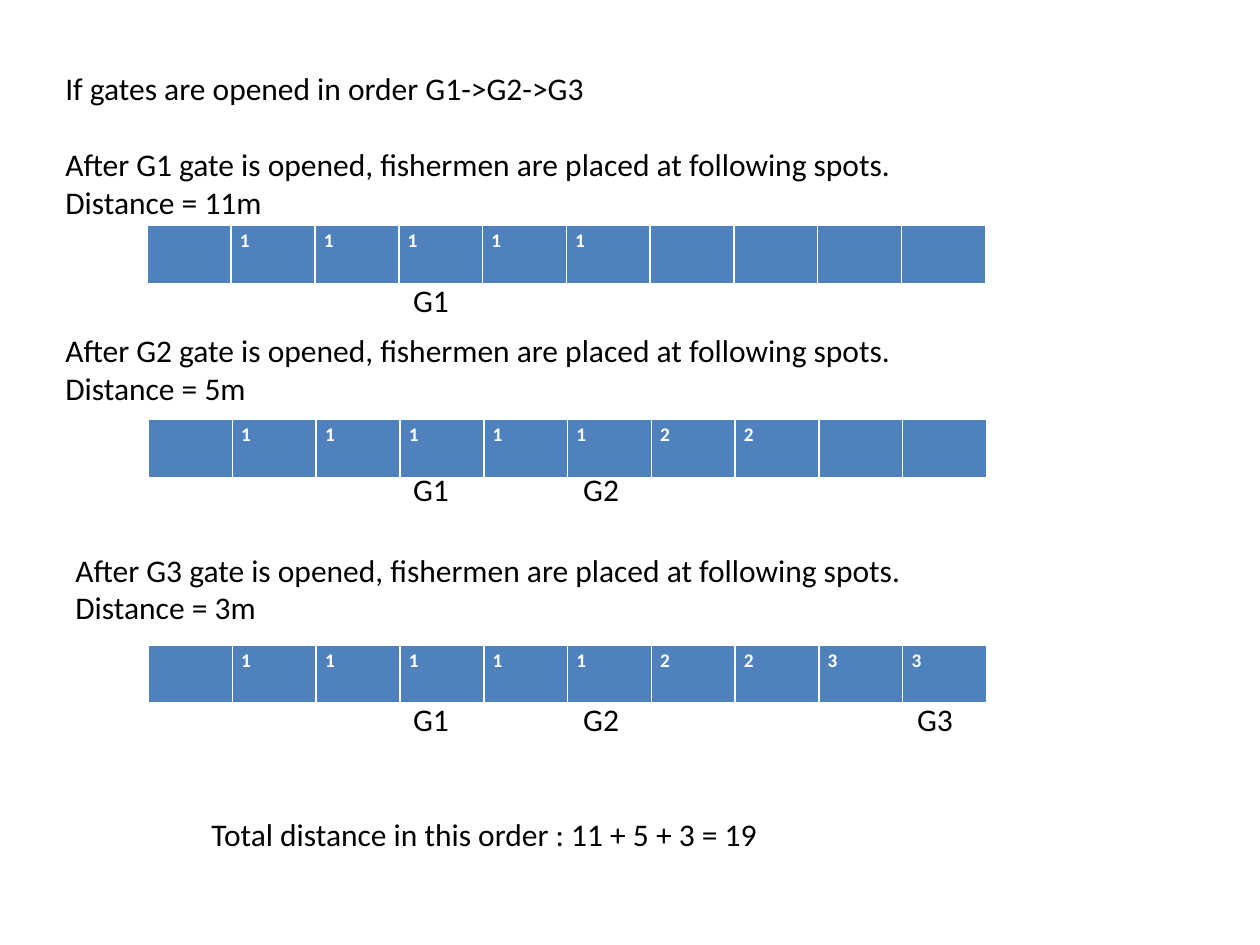
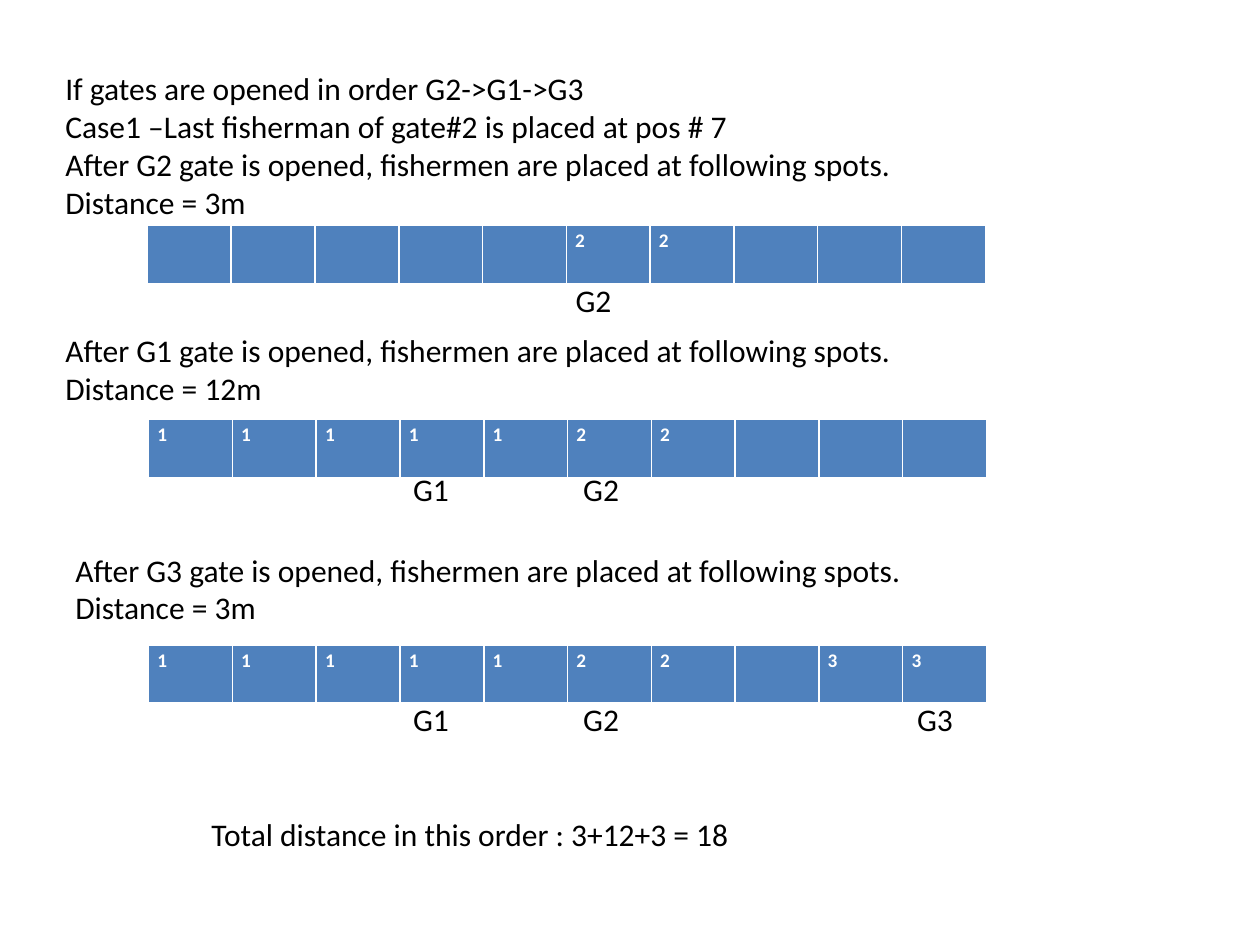
from dataclasses import dataclass

from lxml import etree
from pptx import Presentation
from pptx.dml.color import RGBColor
from pptx.enum import text
from pptx.oxml import ns
from pptx.util import Inches, Pt


@dataclass
class Theme:
    font: str = "Calibri"
    body: int = 18
    spot: int = 11
    ink: RGBColor = RGBColor(0x00, 0x00, 0x00)
    cell: RGBColor = RGBColor(0x4F, 0x81, 0xBD)
    light: RGBColor = RGBColor(0xFF, 0xFF, 0xFF)


THEME = Theme()

# Content: each step is gate, distance, spots ("." is empty) and gate marks,
# a mark being a name and its tab position under the spots
G1, G2, G3 = ("G1", 1.51), ("G2", 2.86), ("G3", 5.51)
SLIDES = [
    {
        "intro": ["If gates are opened in order G1->G2->G3"],
        "steps": [
            ("G1", 11, ".11111....", [G1]),
            ("G2", 5, ".1111122..", [G1, G2]),
            ("G3", 3, ".111112233", [G1, G2, G3]),
        ],
        "total": "11 + 5 + 3 = 19",
    },
    {
        "intro": ["If gates are opened in order G2->G1->G3",
                  "Case1 –Last fisherman of gate#2 is placed at pos # 7"],
        "steps": [
            ("G2", 3, ".....22...", [("G2", 2.8)]),
            ("G1", 12, "1111122...", [G1, G2]),
            ("G3", 3, "1111122.33", [G1, G2, G3]),
        ],
        "total": "3+12+3 = 18",
    },
]

# Layout: left, top, width, height of each step's text, spots and marks
STEP_BOXES = [
    ((0.42, 0.5, 8.58, 1.62), (1.17, 1.79, 6.65, 0.46), (1.67, 2.18, 5.92, 0.4)),
    ((0.42, 2.58, 7.25, 1.01), (1.18, 3.33, 6.65, 0.46), (1.67, 3.68, 5.92, 0.4)),
    ((0.5, 4.32, 7.25, 1.01), (1.18, 5.12, 6.65, 0.46), (1.67, 5.51, 6.08, 0.4)),
]
TOTAL_BOX = (1.58, 6.42, 6.25, 0.4)
INTRO_LINES = 2
LINE_PITCH = 22  # points taken by one line of body text


def style(p, size, color, bold=False):
    for r in p.runs:
        r.font.name, r.font.size, r.font.bold = THEME.font, Pt(size), bold
        r.font.color.rgb = color


def add_text(slide, box, lines):
    sp = slide.shapes.add_textbox(*map(Inches, box))
    tf = sp.text_frame
    tf.word_wrap = True
    tf.auto_size = text.MSO_AUTO_SIZE.SHAPE_TO_FIT_TEXT
    tf.text = "\n".join(lines)
    for p in tf.paragraphs:
        style(p, THEME.body, THEME.ink)
    return tf


def add_marks(slide, box, marks):
    """Write the gate names, each at its own tab stop."""
    tf = add_text(slide, box, ["".join("\t" + name for name, _ in marks)])
    tabs = etree.SubElement(tf.paragraphs[0]._p.get_or_add_pPr(), ns.qn("a:tabLst"))
    for _, x in marks:
        etree.SubElement(tabs, ns.qn("a:tab"), pos=str(Inches(x)), algn="l")


def add_spots(slide, box, spots):
    """Draw the row of fishing spots; white borders come from the table style."""
    table = slide.shapes.add_table(1, len(spots), *map(Inches, box)).table
    for column in table.columns:
        column.width = Inches(box[2] / len(spots))
    for cell, spot in zip(table.rows[0].cells, spots):
        cell.fill.solid()
        cell.fill.fore_color.rgb = THEME.cell
        cell.margin_left = cell.margin_right = Inches(0.07)
        cell.margin_top = cell.margin_bottom = 0
        if spot != ".":
            p = cell.text_frame.paragraphs[0]
            p.text = spot
            p.line_spacing = 1.15
            style(p, THEME.spot, THEME.light, bold=True)


prs = Presentation()
prs.slide_width, prs.slide_height = Inches(10), Inches(7.5)
blank = prs.slide_layouts[6]

for content in SLIDES:
    slide = prs.slides.add_slide(blank)

    # Steps, the first one headed by the opening order
    for i, (step, boxes) in enumerate(zip(content["steps"], STEP_BOXES)):
        gate, distance, spots, marks = step
        text_box, spots_box, marks_box = boxes
        intro = content["intro"] if i == 0 else []
        tf = add_text(slide, text_box, intro + [
            f"After {gate} gate is opened, fishermen are placed at following spots.",
            f"Distance = {distance}m",
        ])
        if intro:
            gap = LINE_PITCH * (INTRO_LINES - len(intro))
            tf.paragraphs[len(intro)].space_before = Pt(gap)
        add_spots(slide, spots_box, spots)
        add_marks(slide, marks_box, marks)

    # Total
    add_text(slide, TOTAL_BOX, [f"Total distance in this order : {content['total']}"])

prs.save("out.pptx")
